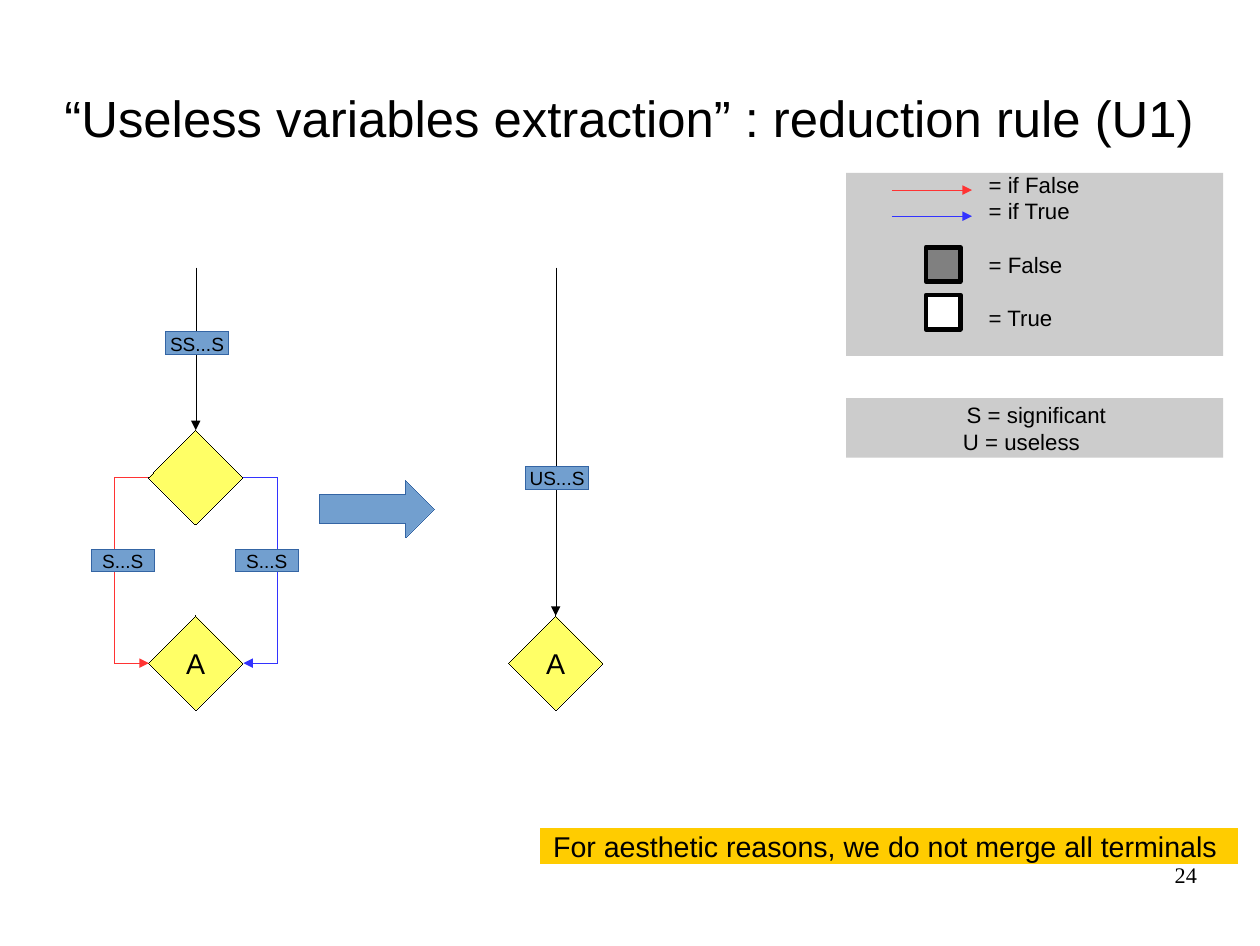
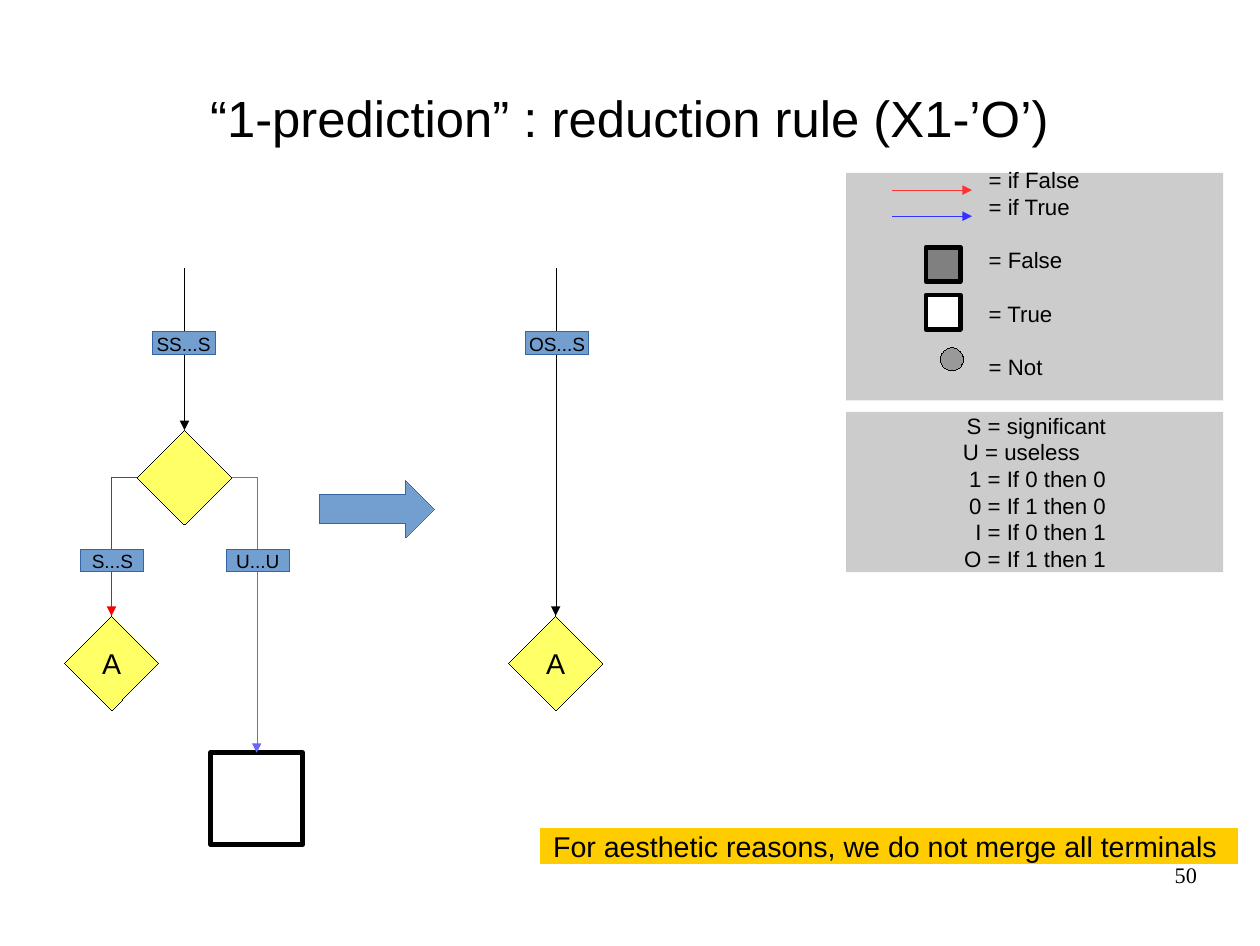
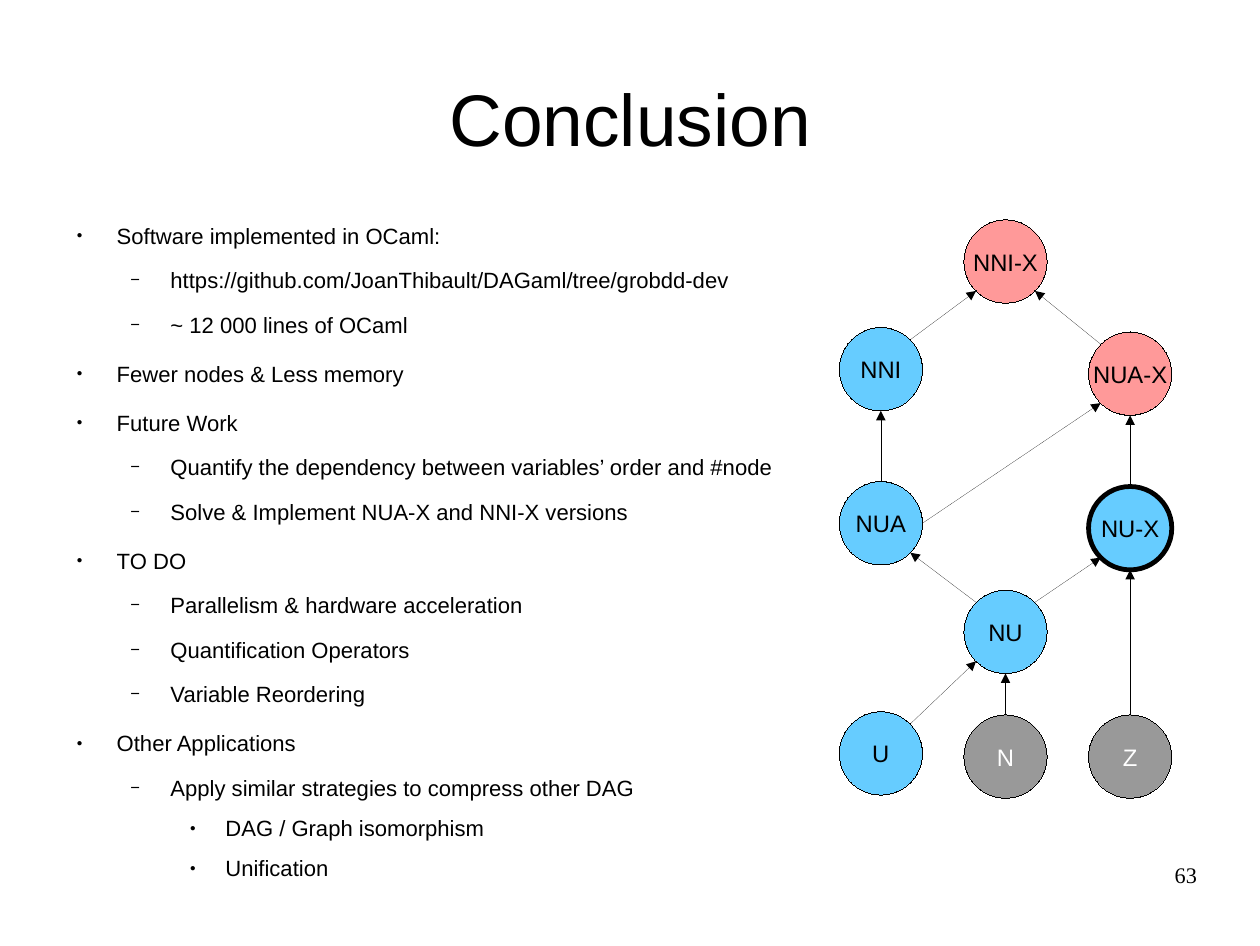
import lxml.etree
import pptx
import pptx.dml.color
import pptx.enum.shapes
import pptx.enum.text
import pptx.oxml.ns
import pptx.util

FORM = pptx.enum.shapes.MSO_SHAPE
LINK = pptx.enum.shapes.MSO_CONNECTOR
SIDE = pptx.enum.text.PP_ALIGN
EDGE = pptx.enum.text.MSO_ANCHOR

COLS, ROWS = 28, 21
SANS, SERIF = "Arial", "Times New Roman"
BLACK, WHITE, GREY, PANEL, DARK = "000000", "FFFFFF", "999999", "CCCCCC", "808080"
RED, BLUE, STEEL, NAVY = "FF3333", "3333FF", "729FCF", "3465A4"
YELLOW, GOLD, SKY, PINK = "FFFF66", "FFCC00", "66CCFF", "FF9999"
TOP, LEFT, RIGHT = 0, 1, 3
PITCH = 16.8
DIAG = 0.5 ** 0.5
POINTS = {"n": (0, -1), "s": (0, 1), "e": (1, 0),
          "ne": (DIAG, -DIAG), "nw": (-DIAG, -DIAG),
          "se": (DIAG, DIAG), "sw": (-DIAG, DIAG)}
BULLETS = [("●", 45, 0.47, -0.35, 14.2), ("−", 75, 0.94, -0.35, 11.3),
           ("●", 45, 1.42, -0.31, 8.5)]


def tint(code):
    return pptx.dml.color.RGBColor.from_string(code)


def add(parent, tag, **attrs):
    return lxml.etree.SubElement(parent, pptx.oxml.ns.qn(tag), attrs)


def stroke(item, color, width=0):
    item.line.color.rgb = tint(color)
    line = item._element.spPr.find(pptx.oxml.ns.qn("a:ln"))
    line.set("w", str(pptx.util.Pt(width)))
    return line


class Deck:
    """Hold the shared style and the slide being drawn, on a 28 by 21 grid."""

    def __init__(self):
        self.show = pptx.Presentation()
        self.show.slide_width = pptx.util.Inches(11.02)
        self.show.slide_height = pptx.util.Inches(8.27)
        self.page = None

    def grid(self, col, row):
        return (round(col * self.show.slide_width / COLS),
                round(row * self.show.slide_height / ROWS))

    def start(self, title, num, size=32):
        self.page = self.show.slides.add_slide(self.show.slide_layouts[6])
        self.text(1.4, 0.85, 25.2, 3.5, [title], size, side=SIDE.CENTER, edge=EDGE.MIDDLE, wrap=False)
        self.text(20.07, 19.13, 6.53, 1.45, [num], 14, font=SERIF, side=SIDE.RIGHT)

    def put(self, shape, lines, size, color=BLACK, font=SANS, side=SIDE.CENTER,
            edge=EDGE.MIDDLE, wrap=False, pad=(0, 0, 0, 0)):
        frame = shape.text_frame
        frame.text = "\n".join(lines)
        frame.word_wrap = wrap
        frame.vertical_anchor = edge
        frame.margin_left, frame.margin_top = self.grid(*pad[:2])
        frame.margin_right, frame.margin_bottom = self.grid(*pad[2:])
        for para in frame.paragraphs:
            para.alignment = side
            for run in para.runs:
                run.font.size = pptx.util.Pt(size)
                run.font.name = font
                run.font.color.rgb = tint(color)
        return frame.paragraphs

    def text(self, col, row, wide, high, lines, size, side=SIDE.LEFT,
             edge=EDGE.TOP, wrap=True, font=SANS):
        box = self.page.shapes.add_textbox(*self.grid(col, row), *self.grid(wide, high))
        return self.put(box, lines, size, font=font, side=side, edge=edge, wrap=wrap)

    def shape(self, form, col, row, wide, high, fill, line=None, width=0):
        item = self.page.shapes.add_shape(form, *self.grid(col, row), *self.grid(wide, high))
        item.shadow.inherit = False
        item.fill.solid()
        item.fill.fore_color.rgb = tint(fill)
        if line:
            stroke(item, line, width)
        else:
            item.line.fill.background()
        return item

    def gem(self, col, row, word=""):
        item = self.shape(FORM.DIAMOND, col, row, 2.1, 2.1, YELLOW, BLACK)
        if word:
            self.put(item, [word], 18)
        return item

    def tag(self, col, row, word):
        self.put(self.shape(FORM.RECTANGLE, col, row, 1.4, 0.51, STEEL, NAVY), [word], 12)

    def link(self, head, tail, color=BLACK, kind=LINK.STRAIGHT):
        item = self.page.shapes.add_connector(kind, *self.grid(*head), *self.grid(*tail))
        add(stroke(item, color), "a:tailEnd", type="triangle")
        add(item._element.spPr, "a:effectLst")
        return item

    def drop(self, gem, col):
        self.link((col, 5.94), (col, 9.55)).end_connect(gem, TOP)

    def bend(self, head, start, tail, end, color, reach=0):
        item = self.link((0, 0), (1, 1), color, LINK.ELBOW)
        item.begin_connect(head, start)
        item.end_connect(tail, end)
        geom = item._element.spPr.find(pptx.oxml.ns.qn("a:prstGeom"))
        if reach:
            step = 0.01
            item.end_x = item.begin_x + self.grid(step, 0)[0]
            guides = geom.find(pptx.oxml.ns.qn("a:avLst"))
            add(guides, "a:gd", name="adj1", fmla=f"val {round(reach / step * 100000)}")
        else:
            geom.set("prst", "bentConnector2")

    def legend(self, high, words):
        panel = self.shape(FORM.RECTANGLE, 18.8, 3.84, 8.38, high, PANEL)
        paras = self.put(panel, words, 14, side=SIDE.LEFT, wrap=True, pad=(3.17, 0, 0, 0.59))
        for rank, para in enumerate(paras):
            para.line_spacing = pptx.util.Pt(PITCH)
            if rank > 1:
                para.space_before = pptx.util.Pt(PITCH)
        for row, color in ((4.22, RED), (4.8, BLUE)):
            self.link((19.82, row), (21.6, row), color)
        for row, fill in ((5.49, DARK), (6.55, WHITE)):
            self.shape(FORM.RECTANGLE, 20.58, row, 0.76, 0.76, fill, BLACK, 3)

    def keys(self, row, high, words):
        panel = self.shape(FORM.RECTANGLE, 18.8, row, 8.38, high, PANEL)
        paras = self.put(panel, words, 14, side=SIDE.RIGHT, wrap=True, pad=(2.6, 0, 2.6, 0))
        for para in paras:
            para.line_spacing = pptx.util.Pt(PITCH)
        paras[1].alignment = SIDE.LEFT

    def result(self, row, word):
        goal = self.gem(11.3, 13.67, "A")
        self.link((12.35, 5.94), (12.35, 13.67)).end_connect(goal, TOP)
        self.tag(11.68, row, word)
        self.shape(FORM.RIGHT_ARROW, 7.11, 10.67, 2.54, 1.27, STEEL, NAVY)
        note = self.shape(FORM.RECTANGLE, 12.01, 18.4, 15.5, 0.76, GOLD, GOLD)
        self.put(note, ["For aesthetic reasons, we do not merge all terminals"], 18,
                 wrap=True, pad=(0, 0, 0.18, 0))

    def list(self, rows):
        paras = self.text(1.4, 4.93, 25.2, 12.2, [word for _, word in rows], 13.9)
        for rank, (para, (level, _)) in enumerate(zip(paras, rows)):
            mark, size, left, hang, gap = BULLETS[level]
            props = para._p.get_or_add_pPr()
            props.set("marL", str(pptx.util.Inches(left)))
            props.set("indent", str(pptx.util.Inches(hang)))
            add(add(props, "a:buClr"), "a:srgbClr", val=BLACK)
            add(props, "a:buSzPct", val=str(size * 1000))
            add(props, "a:buFont", typeface=SANS)
            add(props, "a:buChar", char=mark)
            para.level = level
            para.line_spacing = pptx.util.Pt(16.7)
            if rank:
                para.space_before = pptx.util.Pt(gap)

    def graph(self, nodes, links):
        size = 1.85
        for name, (col, row, fill, ink, width) in nodes.items():
            disc = self.shape(FORM.OVAL, col, row, size, size, fill, BLACK, width)
            self.put(disc, [name], 15, ink)
        for head, start, tail, end in links:
            spots = []
            for name, point in ((head, start), (tail, end)):
                col, row = nodes[name][:2]
                across, down = POINTS[point]
                spots.append((col + size / 2 * (1 + across), row + size / 2 * (1 + down)))
            self.link(*spots)


def useless(deck):
    deck.start("“Useless variables extraction” : reduction rule (U1)", "24")
    deck.legend(4.06, ["= if False", "= if True", "= False", "= True"])
    deck.keys(8.84, 1.32, ["S = significant", "U = useless"])
    test, leaf = deck.gem(3.3, 9.55), deck.gem(3.3, 13.67, "A")
    deck.drop(test, 4.35)
    deck.bend(test, RIGHT, leaf, RIGHT, BLUE, 0.76)
    deck.bend(test, LEFT, leaf, LEFT, RED, -0.76)
    for col, row, word in ((3.68, 7.37, "SS...S"), (2.03, 12.19, "S...S"), (5.23, 12.19, "S...S")):
        deck.tag(col, row, word)
    deck.result(10.36, "US...S")


def predict(deck):
    deck.start("“1-prediction” : reduction rule (X1-’O’)", "50")
    deck.legend(5.05, ["= if False", "= if True", "= False", "= True", "= Not"])
    deck.shape(FORM.OVAL, 20.9, 7.72, 0.51, 0.51, GREY, BLACK)
    deck.keys(9.14, 3.56, ["S = significant", "U = useless", "1 = If 0 then 0",
                           "0 = If 1 then 0", "I = If 0 then 1", "O = If 1 then 1"])
    test, leaf = deck.gem(3.05, 9.55), deck.gem(1.43, 13.67, "A")
    true = deck.shape(FORM.RECTANGLE, 4.68, 16.71, 2.05, 2.04, WHITE, BLACK, 3)
    deck.drop(test, 4.1)
    deck.bend(test, LEFT, leaf, TOP, "FF0000")
    deck.bend(test, RIGHT, true, TOP, "6666FF")
    for col, row, word in ((3.38, 7.37, "SS...S"), (1.8, 12.19, "S...S"), (5.03, 12.19, "U...U")):
        deck.tag(col, row, word)
    deck.result(7.37, "OS...S")


def close(deck):
    deck.start("Conclusion", "63", 46)
    deck.list([
        (0, "Software implemented in OCaml:"),
        (1, "https://github.com/JoanThibault/DAGaml/tree/grobdd-dev"),
        (1, "~ 12 000 lines of OCaml"),
        (0, "Fewer nodes & Less memory"),
        (0, "Future Work"),
        (1, "Quantify the dependency between variables’ order and #node"),
        (1, "Solve & Implement NUA-X and NNI-X versions"),
        (0, "TO DO"),
        (1, "Parallelism & hardware acceleration"),
        (1, "Quantification Operators"),
        (1, "Variable Reordering"),
        (0, "Other Applications"),
        (1, "Apply similar strategies to compress other DAG"),
        (2, "DAG / Graph isomorphism"),
        (2, "Unification"),
    ])
    west, mid, east = (18.65 + 2.77 * rank for rank in range(3))
    deck.graph({
        "NNI-X": (mid, 4.88, PINK, BLACK, 0),
        "NNI": (west, 7.27, SKY, BLACK, 0),
        "NUA-X": (east, 7.37, PINK, BLACK, 0),
        "NUA": (west, 10.69, SKY, BLACK, 0),
        "NU-X": (east, 10.8, SKY, BLACK, 3),
        "NU": (mid, 13.1, SKY, BLACK, 0),
        "U": (west, 15.8, SKY, BLACK, 0),
        "N": (mid, 15.87, GREY, WHITE, 0),
        "Z": (east, 15.87, GREY, WHITE, 0),
    }, [
        ("U", "ne", "NU", "sw"), ("N", "n", "NU", "s"), ("Z", "n", "NU-X", "s"),
        ("NU", "nw", "NUA", "se"), ("NU", "ne", "NU-X", "sw"),
        ("NUA", "n", "NNI", "s"), ("NUA", "e", "NUA-X", "sw"),
        ("NU-X", "n", "NUA-X", "s"), ("NNI", "ne", "NNI-X", "sw"),
        ("NUA-X", "nw", "NNI-X", "se"),
    ])


def main():
    deck = Deck()
    for draw in (useless, predict, close):
        draw(deck)
    deck.show.save("out.pptx")


if __name__ == "__main__":
    main()
